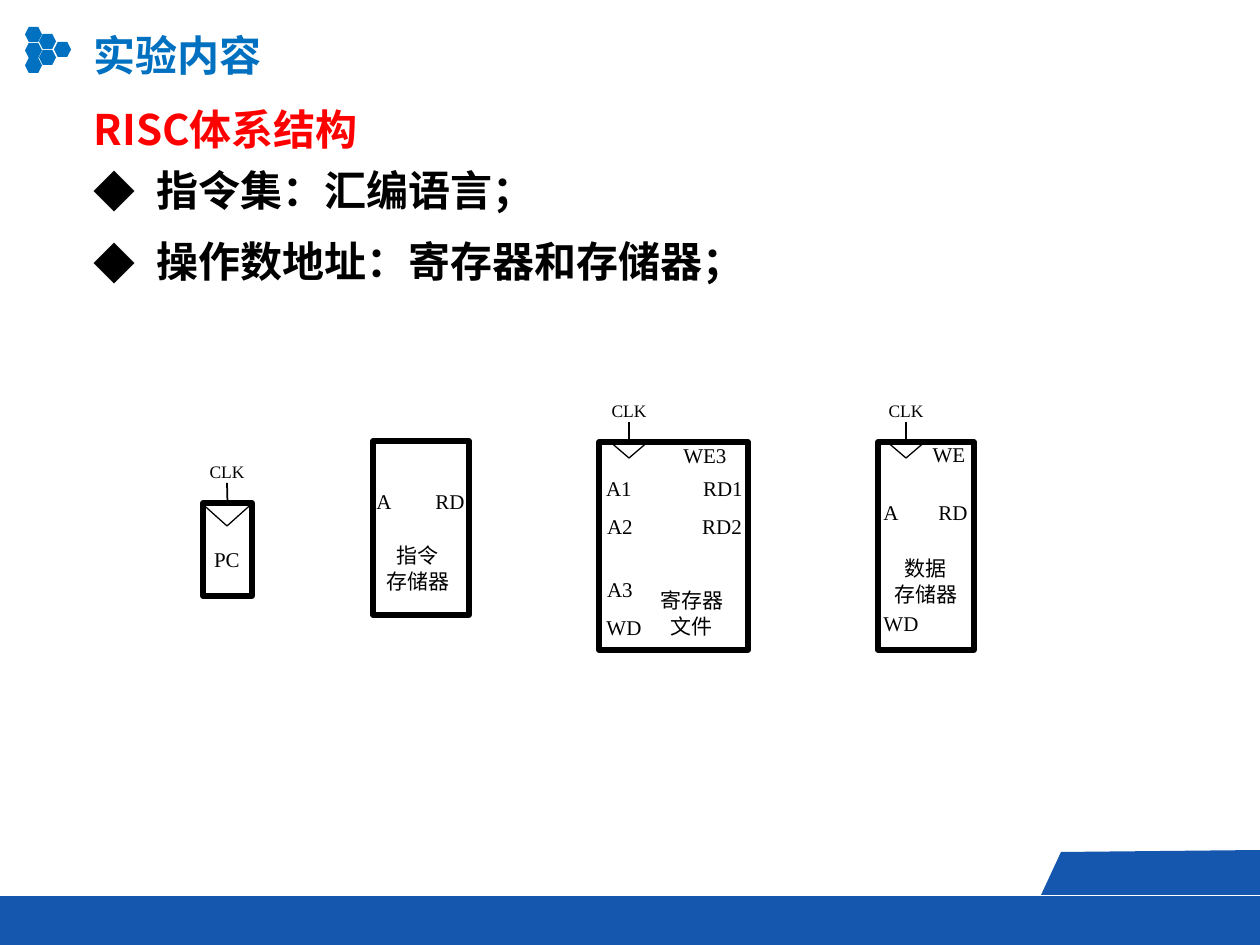
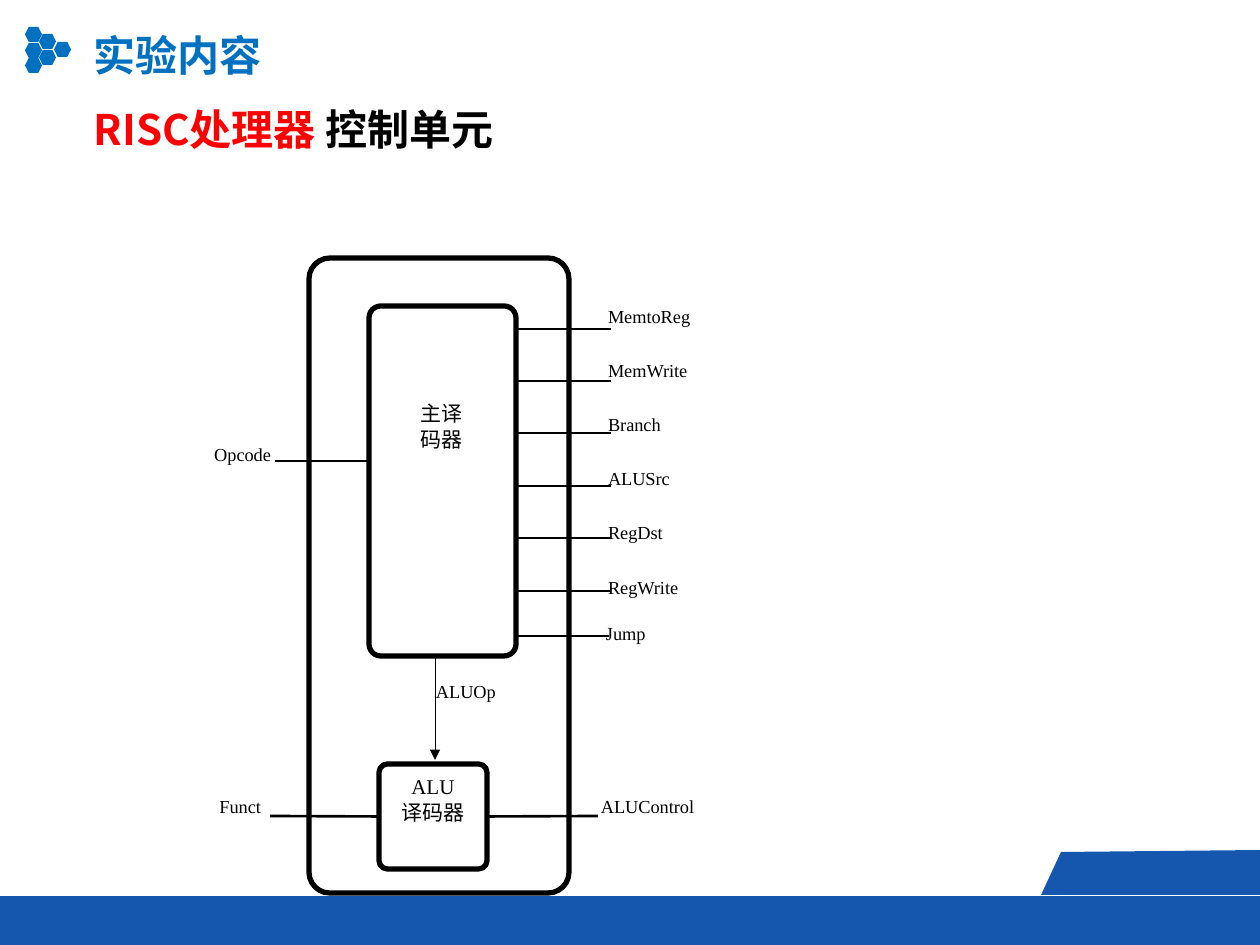
from lxml.etree import SubElement as Sub
from pptx import Presentation
from pptx.dml.color import RGBColor
from pptx.enum.shapes import MSO_CONNECTOR as Link, MSO_SHAPE as Kind
from pptx.enum.text import MSO_ANCHOR as Anchor, MSO_AUTO_SIZE as Auto, PP_ALIGN as Align
from pptx.oxml.ns import qn
from pptx.util import Pt

SCALE = 914400 / 126
BLACK, RED, SKY, NAVY = "000000", "FF0000", "0070C0", "1557AE"
SANS, SERIF = "Noto Sans CJK SC", "Times New Roman"
MID, LEFT, RIGHT = Align.CENTER, Align.LEFT, Align.RIGHT


def px(*nums):
    return [round(n * SCALE) for n in nums]


def tint(code):
    return RGBColor.from_string(code)


class Deck:
    def __init__(self):
        self.prs = Presentation()
        self.prs.slide_width, self.prs.slide_height = px(1260, 945)

    def page(self, title):
        self.slide = self.prs.slides.add_slide(self.prs.slide_layouts[1])
        self.shapes = self.slide.shapes
        for col, tops in enumerate([(27, 43, 58), (34, 50), (42,)]):
            for top in tops:
                self.shape(Kind.HEXAGON, 25 + col * 29 // 2, top, 17, 15, fill=SKY)
        self.shape(Kind.FLOWCHART_PROCESS, 0, 896, 1260, 49, fill=NAVY)
        pen = self.shapes.build_freeform(1260, 895, scale=SCALE)
        pen.add_line_segments([(1260, 850), (1061, 852), (1041, 895)])
        self.paint(pen.convert_to_shape(), NAVY)
        head = self.shapes.title
        self.place(head, 81, 23, 195, 63)
        head.text_frame.word_wrap = False
        head.text_frame.text = title
        self.style(head.text_frame.paragraphs[0], 24, SANS, SKY, True)

    def place(self, hold, *box):
        hold.left, hold.top, hold.width, hold.height = px(*box)
        frame = hold.text_frame
        frame.auto_size = Auto.NONE
        frame.vertical_anchor = Anchor.TOP

    def style(self, para, size, face, color=BLACK, bold=False, align=LEFT):
        para.alignment = align
        para.line_spacing = Pt(size * 1.2)
        para.space_before = para.space_after = Pt(0)
        for run in para.runs:
            font = run.font
            font.size, font.name, font.bold = Pt(size), face, bold
            font.color.rgb = tint(color)
            Sub(font._element, qn("a:ea"), typeface=SANS)

    def body(self, head, items=()):
        hold = self.slide.placeholders[1]
        self.place(hold, 81, 97, 1115, 198 if items else 63)
        frame = hold.text_frame
        para = frame.paragraphs[0]
        for text, color in head:
            para.add_run().text = text
        self.style(para, 24, SANS, BLACK, True)
        for run, (text, color) in zip(para.runs, head):
            run.font.color.rgb = tint(color)
        self.mark(para, 0)
        for item in items:
            para = frame.add_paragraph()
            para.text = item
            self.style(para, 24, SANS, BLACK, True)
            para.space_before = para.space_after = Pt(6)
            self.mark(para, 63, "◆")

    def mark(self, para, dent, sign=None):
        prop = para._p.get_or_add_pPr()
        prop.set("marL", str(px(dent)[0]))
        prop.set("indent", str(-px(dent)[0]))
        if sign:
            Sub(prop, qn("a:buFont"), typeface=SANS)
            Sub(prop, qn("a:buChar"), char=sign)
        else:
            Sub(prop, qn("a:buNone"))

    def paint(self, shape, fill=None, line=None):
        shape.shadow.inherit = False
        if fill:
            shape.fill.solid()
            shape.fill.fore_color.rgb = tint(fill)
        else:
            shape.fill.background()
        if line:
            shape.line.color.rgb = tint(BLACK)
            shape.line.width = Pt(line)
        else:
            shape.line.fill.background()

    def shape(self, kind, *box, fill=None, line=None):
        shape = self.shapes.add_shape(kind, *px(*box))
        self.paint(shape, fill, line)
        return shape

    def block(self, *box):
        return self.shape(Kind.RECTANGLE, *box, line=3)

    def round(self, *box):
        shape = self.shape(Kind.ROUNDED_RECTANGLE, *box, line=3)
        shape.adjustments[0] = 0.08
        return shape

    def wire(self, *ends, width=1.5, arrow=False):
        link = self.shapes.add_connector(Link.STRAIGHT, *px(*ends))
        link.line.color.rgb = tint(BLACK)
        link.line.width = Pt(width)
        if arrow:
            Sub(link.line._get_or_add_ln(), qn("a:tailEnd"), type="triangle")
        Sub(link._element.spPr, qn("a:effectLst"))
        return link

    def label(self, text, x, y, width=76, size=12, align=MID):
        left = x - {LEFT: 0, MID: width / 2, RIGHT: width}[align]
        lines = text.split("\n")
        box = self.shapes.add_textbox(*px(left, y, width, 25 * len(lines)))
        frame = box.text_frame
        frame.margin_left = frame.margin_right = 0
        frame.margin_top = frame.margin_bottom = 0
        frame.word_wrap = True
        frame.text = text
        face = SERIF if lines[0].isascii() else SANS
        for para in frame.paragraphs:
            self.style(para, size, face, align=align)

    def port(self, text, x, y, align=LEFT):
        self.label(text, x, y, 134, 10.5, align)

    def clock(self, x, y, width, height):
        notch = self.shape(Kind.ISOSCELES_TRIANGLE, x - width / 2, y + 1, width, height, line=0.75)
        notch.rotation = 180
        self.label("CLK", x, y - 42, 55, 10)
        return self.wire(x, y - 20, x, y, width=1)


def parts(deck):
    deck.page("实验内容")
    deck.body([("RISC体系结构", RED)], ["指令集：汇编语言；", "操作数地址：寄存器和存储器；"])
    count = deck.block(203, 503, 49, 93)
    for box in [(373, 441, 96, 174), (599, 442, 149, 208), (878, 442, 96, 208)]:
        deck.block(*box)
    deck.clock(227, 503, 49, 22).end_connect(count, 0)
    for x in (629, 906):
        deck.clock(x, 442, 35, 15)
    for text, x, y in [
        ("PC", 227, 547),
        ("A", 384, 489), ("RD", 450, 489), ("指令\n存储器", 418, 543),
        ("WE3", 705, 443), ("A1", 619, 476), ("RD1", 723, 476),
        ("A2", 620, 514), ("RD2", 722, 514), ("A3", 620, 577),
        ("WD", 624, 615), ("寄存器文件", 692, 588),
        ("WE", 949, 442), ("A", 891, 500), ("RD", 953, 500),
        ("数据\n存储器", 926, 556), ("WD", 901, 611),
    ]:
        deck.label(text, x, y)


def control(deck):
    deck.page("实验内容")
    deck.body([("RISC处理器 ", RED), ("控制单元", BLACK)])
    deck.round(309, 258, 260, 635)
    alu = deck.round(379, 764, 108, 105)
    deck.round(369, 306, 147, 350)
    deck.label("ALU\n译码器", 433, 774)
    deck.label("主译\n码器", 442, 401)
    deck.wire(270, 816, 379, 816).end_connect(alu, 1)
    deck.wire(487, 816, 598, 816).begin_connect(alu, 3)
    deck.wire(275, 461, 369, 461)
    deck.wire(435, 656, 435, 760, width=0.5, arrow=True)
    deck.port("Opcode", 271, 443, RIGHT)
    deck.port("Funct", 261, 795, RIGHT)
    deck.port("ALUControl", 601, 795)
    deck.port("ALUOp", 436, 680)
    names = ["MemtoReg", "MemWrite", "Branch", "ALUSrc", "RegDst", "RegWrite"]
    for i, name in enumerate(names):
        y = 329 + i * 262 // 5
        deck.wire(516, y, 611, y)
        deck.port(name, 608, 305 + i * 271 // 5)
    deck.wire(516, 636, 609, 636)
    deck.port("Jump", 606, 622)


def main():
    deck = Deck()
    parts(deck)
    control(deck)
    deck.prs.save("out.pptx")


if __name__ == "__main__":
    main()
